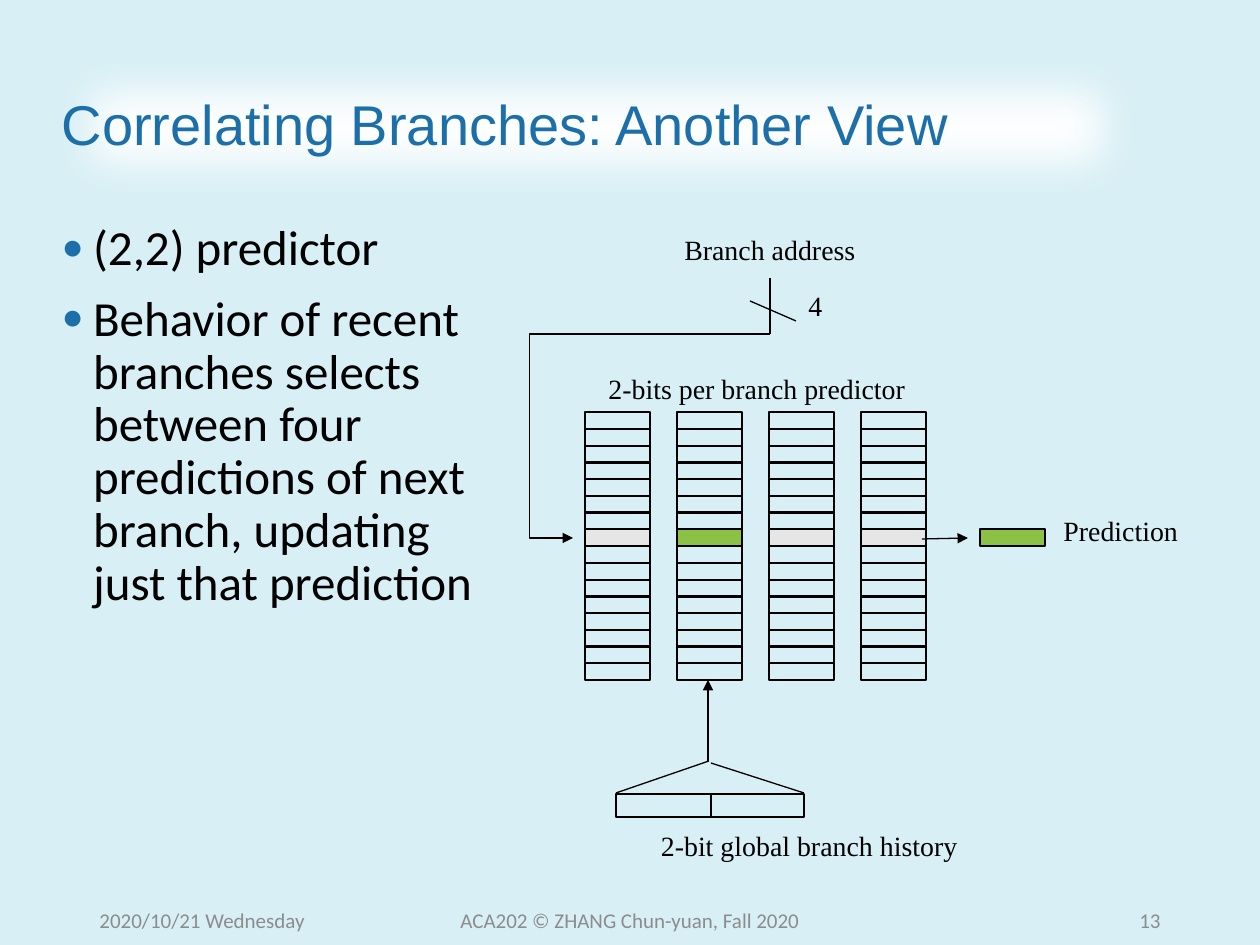
from typing import NamedTuple, Optional

from lxml.etree import SubElement
from pptx import Presentation
from pptx.dml.color import RGBColor
from pptx.enum.shapes import MSO_CONNECTOR as CONN, MSO_SHAPE as SHAPE
from pptx.enum.text import MSO_ANCHOR as ANCHOR, MSO_AUTO_SIZE as AUTO, PP_ALIGN as ALIGN
from pptx.oxml.ns import qn
from pptx.util import Pt

COLORS = {
    "bg": "D7EFF5", "white": "FFFFFF", "title": "1D6FA9", "black": "000000",
    "footer": "8C8C8C", "row": "E7E6E6", "hit": "8BC145",
}
EMU_PER_PX = 914400 / 126
SERIF = "Times New Roman"


class Label(NamedTuple):
    text: str
    box: tuple[int, int, int, int]
    align: ALIGN = ALIGN.CENTER
    anchor: ANCHOR = ANCHOR.MIDDLE
    wrap: bool = False
    size: float = 15.9
    font: str = SERIF
    color: str = "black"


class Wire(NamedTuple):
    start: tuple[int, int]
    end: tuple[int, int]
    arrow: bool = False
    bend: Optional[int] = None


def px(n: float) -> int:
    return round(n * EMU_PER_PX)


def rgb(name: str) -> RGBColor:
    return RGBColor.from_string(COLORS[name])


def add_run(p, text: str, size: float, font: str, color: str) -> None:
    r = p.add_run()
    r.text = text
    r.font.size, r.font.name = Pt(size), font
    r.font.color.rgb = rgb(color)


def place(s, box: tuple[int, int, int, int]) -> None:
    s.left, s.top, s.width, s.height = map(px, box)


def add_label(shapes, label: Label) -> None:
    tf = shapes.add_textbox(*map(px, label.box)).text_frame
    tf.word_wrap, tf.vertical_anchor = label.wrap, label.anchor
    p = tf.paragraphs[0]
    p.alignment = label.align
    add_run(p, label.text, label.size, label.font, label.color)


def add_cell(shapes, box: tuple[int, int, int, int], fill: Optional[str] = None) -> None:
    s = shapes.add_shape(SHAPE.RECTANGLE, *map(px, box))
    s.shadow.inherit = False
    if fill:
        s.fill.solid()
        s.fill.fore_color.rgb = rgb(fill)
    else:
        s.fill.background()
    s.line.color.rgb = rgb("black")
    s.line.width = Pt(0.75)


def add_wire(shapes, wire: Wire) -> None:
    kind = CONN.STRAIGHT if wire.bend is None else CONN.ELBOW
    c = shapes.add_connector(kind, *map(px, wire.start + wire.end))
    c.line.color.rgb = rgb("black")
    c.line.width = Pt(0.75)
    sp_pr = c.element.spPr
    if wire.arrow:
        SubElement(sp_pr.find(qn("a:ln")), qn("a:tailEnd"), type="triangle")
    if wire.bend is not None:
        guides = sp_pr.find(qn("a:prstGeom")).get_or_add_avLst()
        SubElement(guides, qn("a:gd"), name="adj1", fmla=f"val {wire.bend}")
    SubElement(sp_pr, qn("a:effectLst"))


def add_bullet(p, text: str) -> None:
    p.line_spacing, p.space_before = 0.9, Pt(10)
    add_run(p, text, 28, "Calibri", "black")
    p_pr = p._p.get_or_add_pPr()
    p_pr.set("marL", "228600")
    p_pr.set("indent", "-228600")
    clr = SubElement(p_pr, qn("a:buClr"))
    SubElement(clr, qn("a:srgbClr"), val=COLORS["title"])
    SubElement(p_pr, qn("a:buSzPct"), val="75000")
    SubElement(p_pr, qn("a:buFont"), typeface="Arial")
    SubElement(p_pr, qn("a:buChar"), char="●")


prs = Presentation()
prs.slide_width, prs.slide_height = px(1260), px(945)
slide = prs.slides.add_slide(prs.slide_layouts[1])
slide.background.fill.solid()
slide.background.fill.fore_color.rgb = rgb("bg")
shapes = slide.shapes

title, body = slide.placeholders
place(title, (49, 50, 1095, 155))
title.fill.solid()
title.fill.fore_color.rgb = rgb("white")
effects = SubElement(title.element.spPr, qn("a:effectLst"))
SubElement(effects, qn("a:softEdge"), rad="317500")
tf = title.text_frame
tf.auto_size, tf.vertical_anchor = AUTO.NONE, ANCHOR.MIDDLE
p = tf.paragraphs[0]
p.alignment, p.line_spacing = ALIGN.LEFT, 0.9
add_run(p, "Correlating Branches: Another View", 32, "Arial", "title")

place(body, (49, 217, 447, 669))
tf = body.text_frame
tf.auto_size = AUTO.NONE
add_bullet(tf.paragraphs[0], "(2,2) predictor")
add_bullet(
    tf.add_paragraph(),
    "Behavior of recent branches selects between four predictions of next "
    "branch, updating just that prediction",
)

FOOTER = {"wrap": True, "size": 12, "font": "Calibri", "color": "footer"}
SIDE = {"align": ALIGN.LEFT, "anchor": ANCHOR.TOP, "wrap": True}
LABELS = [
    Label("2020/10/21 Wednesday", (87, 895, 284, 50), ALIGN.LEFT, **FOOTER),
    Label("ACA202 © ZHANG Chun-yuan, Fall 2020", (417, 895, 426, 50), **FOOTER),
    Label("13", (890, 895, 283, 50), ALIGN.RIGHT, **FOOTER),
    Label("Branch address", (607, 227, 326, 45)),
    Label(" 2-bits per branch predictor", (505, 364, 497, 48)),
    Label("2-bit global branch history", (576, 820, 467, 50)),
    Label("Prediction", (1051, 507, 154, 92), **SIDE),
    Label("4", (796, 283, 53, 53), **SIDE),
]
for label in LABELS:
    add_label(shapes, label)

COLUMNS, ROWS, HIT_COLUMN, HIT_ROW = 4, 16, 1, 7
LEFT, TOP, PITCH_X, TABLE_H = 585, 412, 92, 268
CELL_W, CELL_H = 65, 17
for col in range(COLUMNS):
    for row in range(ROWS):
        fill = None
        if row == HIT_ROW:
            fill = "hit" if col == HIT_COLUMN else "row"
        top = TOP + round(row * TABLE_H / ROWS)
        add_cell(shapes, (LEFT + col * PITCH_X, top, CELL_W, CELL_H), fill)

add_cell(shapes, (980, 529, CELL_W, CELL_H), "hit")
add_cell(shapes, (616, 794, 188, 23))

WIRES = [
    Wire((770, 334), (573, 538), arrow=True, bend=122100),
    Wire((922, 539), (968, 538), arrow=True),
    Wire((708, 761), (708, 680), arrow=True),
    Wire((770, 334), (770, 278)),
    Wire((750, 301), (796, 321)),
    Wire((711, 763), (804, 793)),
    Wire((616, 793), (709, 761)),
    Wire((711, 795), (711, 817)),
]
for wire in WIRES:
    add_wire(shapes, wire)

prs.save("out.pptx")
